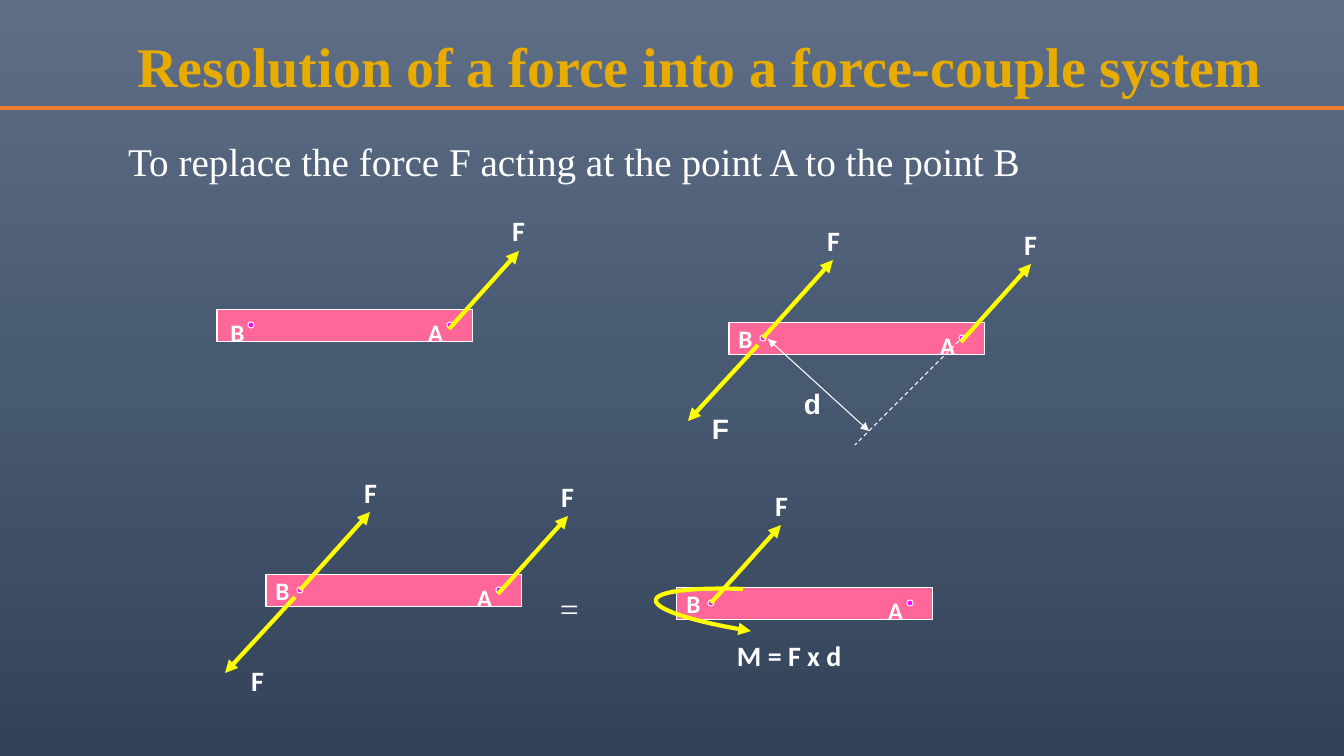
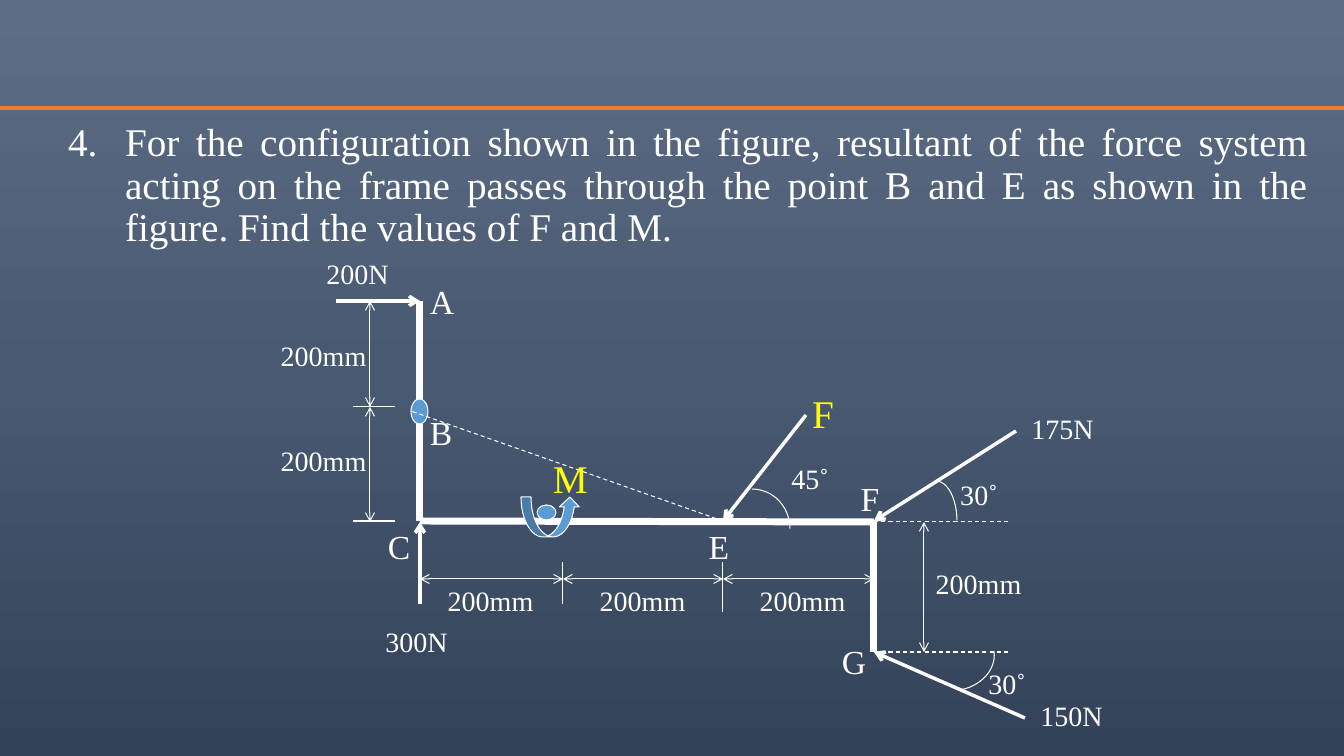
from copy import deepcopy
from itertools import pairwise

from lxml.etree import SubElement
from pptx import Presentation
from pptx.dml.color import RGBColor
from pptx.enum.dml import MSO_LINE
from pptx.enum.shapes import MSO_CONNECTOR, MSO_SHAPE
from pptx.enum.text import MSO_ANCHOR, MSO_AUTO_SIZE, PP_ALIGN
from pptx.oxml.ns import qn
from pptx.util import Emu, Pt

# Shared look
EMU_PER_PIXEL = 914400 / 100.8
SLIDE_WIDTH, SLIDE_HEIGHT = 1344, 756
WHITE = RGBColor(0xFF, 0xFF, 0xFF)
YELLOW = RGBColor(0xFF, 0xFF, 0x00)
GOLD = RGBColor(0xE8, 0xAB, 0x00)
ORANGE = RGBColor(0xED, 0x7D, 0x31)
PINK = RGBColor(0xFF, 0x66, 0x99)
MAGENTA = RGBColor(0xFF, 0x00, 0xFF)
BLUE = RGBColor(0x5B, 0x9B, 0xD5)
BACKGROUND_STOPS = (
    (0, RGBColor(0x5D, 0x6D, 0x85)),
    (0.5, RGBColor(0x48, 0x59, 0x72)),
    (1, RGBColor(0x33, 0x42, 0x58)),
)
SERIF, SANS, ARIAL = "Times New Roman", "Calibri", "Arial"
THIN = 0.75


def pixels(value):
    return Emu(round(value * EMU_PER_PIXEL))


# Text
def place(shape, left, top, width, height):
    shape.left, shape.top = pixels(left), pixels(top)
    shape.width, shape.height = pixels(width), pixels(height)


def clear_insets(frame):
    frame.margin_left = frame.margin_right = 0
    frame.margin_top = frame.margin_bottom = 0


def space_before_half_line(paragraph):
    properties = paragraph._p.get_or_add_pPr()
    spacing = SubElement(properties, qn("a:spcBef"))
    SubElement(spacing, qn("a:spcPct")).set("val", "50000")


def write(frame, text, size, color=WHITE, font=SERIF, bold=False, align=PP_ALIGN.LEFT):
    paragraph = frame.paragraphs[0]
    paragraph.alignment = align
    run = paragraph.add_run()
    run.text = text
    run.font.size = Pt(size)
    run.font.name = font
    run.font.bold = bold
    run.font.color.rgb = color
    return paragraph


def set_bullet(paragraph, hanging, tag, **attributes):
    properties = paragraph._p.get_or_add_pPr()
    properties.set("marL", str(pixels(hanging)))
    properties.set("indent", str(-pixels(hanging)))
    bullet = SubElement(properties, qn(tag))
    for name, value in attributes.items():
        bullet.set(name, value)


def add_label(slide, text, left, top, width, size, color=WHITE):
    """Centred serif label with the usual insets."""
    box = slide.shapes.add_textbox(
        pixels(left), pixels(top), pixels(width), pixels(1.6 * size + 11))
    box.text_frame.word_wrap = True
    box.text_frame.auto_size = MSO_AUTO_SIZE.SHAPE_TO_FIT_TEXT
    paragraph = write(box.text_frame, text, size, color, align=PP_ALIGN.CENTER)
    space_before_half_line(paragraph)


def add_mark(slide, text, left, top, size=20, font=SANS, bold=True, width=None):
    """Tight mark without insets; it wraps, left-aligned, only when given a width."""
    box = slide.shapes.add_textbox(
        pixels(left), pixels(top), pixels(width or 17), pixels(1.7 * size))
    clear_insets(box.text_frame)
    box.text_frame.word_wrap = width is not None
    box.text_frame.auto_size = MSO_AUTO_SIZE.SHAPE_TO_FIT_TEXT
    align = PP_ALIGN.LEFT if width else PP_ALIGN.CENTER
    space_before_half_line(write(box.text_frame, text, size, WHITE, font, bold, align))


# Lines and shapes
def set_line_ends(line, head=None, tail=None):
    properties = line._get_or_add_ln()
    for tag, kind in (("a:headEnd", head), ("a:tailEnd", tail)):
        if kind:
            SubElement(properties, qn(tag)).set("type", kind)


def add_line(slide, start, end, width=THIN, color=WHITE, dashed=False, head=None, tail=None):
    connector = slide.shapes.add_connector(
        MSO_CONNECTOR.STRAIGHT, *(pixels(value) for value in (*start, *end)))
    connector.line.color.rgb = color
    connector.line.width = Pt(width)
    if dashed:
        connector.line.dash_style = MSO_LINE.DASH
    set_line_ends(connector.line, head, tail)
    SubElement(connector.element.spPr, qn("a:effectLst"))
    return connector


def add_figure(slide, kind, left, top, width, height, fill=None, rotation=0):
    shape = slide.shapes.add_shape(
        kind, pixels(left), pixels(top), pixels(width), pixels(height))
    shape.shadow.inherit = False
    shape.rotation = rotation
    if fill is None:
        shape.fill.background()
    else:
        shape.fill.solid()
        shape.fill.fore_color.rgb = fill
    shape.line.color.rgb = WHITE
    shape.line.width = Pt(THIN)


def bezier(points, steps=12):
    """Points along a cubic curve, from its start to its end."""
    for step in range(steps + 1):
        t = step / steps
        weights = ((1 - t) ** 3, 3 * t * (1 - t) ** 2, 3 * t * t * (1 - t), t ** 3)
        yield tuple(pixels(sum(weight * point[axis] for weight, point in zip(weights, points)))
                    for axis in (0, 1))


def add_moment_arrow(slide, *curves):
    outline = [point for curve in curves for point in bezier(curve)]
    builder = slide.shapes.build_freeform(*outline[0], scale=1.0)
    builder.add_line_segments(outline[1:], close=False)
    shape = builder.convert_to_shape()
    shape.shadow.inherit = False
    shape.fill.background()
    shape.line.color.rgb = YELLOW
    shape.line.width = Pt(3)
    set_line_ends(shape.line, tail="triangle")


def add_beam(slide, left, top, forces, b_label=(8, 0), counter_font=SANS):
    """Beam with points A and B; forces names those drawn: A, B, counter."""
    def at(x, y):
        return left + x, top + y

    add_figure(slide, MSO_SHAPE.RECTANGLE, left, top, 256, 32, PINK)
    arrows = {
        "A": ((232, 19), (302, -59), (293, -96), SANS),
        "B": ((34, 15), (104, -63), (96, -100), SANS),
        "counter": ((29, 22), (-41, 98), (-17, 88), counter_font),
    }
    add_mark(slide, "A", *at(210, 7), size=18)
    add_mark(slide, "B", *at(*b_label), size=18)
    for x in (230, 31):
        add_figure(slide, MSO_SHAPE.OVAL, *at(x, 12), 6, 6, MAGENTA)
    for name in forces:
        start, end, mark, font = arrows[name]
        add_line(slide, at(*start), at(*end), 3, YELLOW, tail="triangle")
        add_mark(slide, "F", *at(*mark), font=font)


# Master and slides
def set_up_master(presentation, slide):
    master = presentation.slide_master
    fill = master.background.fill
    fill.gradient()
    fill.gradient_angle = 270
    stop_list = master.element.find(".//" + qn("a:gsLst"))
    stop_list.insert(1, deepcopy(stop_list[0]))
    for stop, (position, color) in zip(fill.gradient_stops, BACKGROUND_STOPS):
        stop.position = position
        stop.color.rgb = color
    rule = add_line(slide, (0, 108), (SLIDE_WIDTH, 108), 2.25, ORANGE)
    master.shapes.element.append(rule.element)


def fill_body(slide, left, top, width, height, text, align=PP_ALIGN.LEFT):
    body = slide.placeholders[1]
    place(body, left, top, width, height)
    body.text_frame.auto_size = MSO_AUTO_SIZE.NONE
    return write(body.text_frame, text, 28, align=align)


def build_resolution_slide(slide):
    title = slide.shapes.title
    place(title, 131, 32, 1137, 67)
    clear_insets(title.text_frame)
    title.text_frame.word_wrap = False
    title.text_frame.vertical_anchor = MSO_ANCHOR.TOP
    heading = write(title.text_frame, "Resolution of a force into a force-couple system",
                    40, GOLD, bold=True, align=PP_ALIGN.CENTER)
    space_before_half_line(heading)
    statement = fill_body(slide, 118, 132, 1184, 57,
                          "To replace the force F acting at the point A to the point B")
    space_before_half_line(statement)
    set_bullet(statement, 0, "a:buNone")

    # Four stages of the replacement
    add_beam(slide, 217, 310, ("A",), b_label=(12, 7))
    add_beam(slide, 729, 323, ("A", "B", "counter"), counter_font=ARIAL)
    add_beam(slide, 266, 575, ("A", "B", "counter"))
    add_beam(slide, 677, 588, ("B",))

    # Distance between the lines of action
    add_line(slide, (964, 336), (855, 445), dashed=True)
    add_line(slide, (768, 339), (869, 431), head="triangle", tail="triangle")
    add_mark(slide, "d", 804, 386, font=ARIAL)

    # Resulting moment
    add_mark(slide, "=", 560, 588, 24, SERIF, bold=False, width=50)
    add_moment_arrow(slide,
                     ((743, 589), (690, 587), (656, 592), (656, 600)),
                     ((656, 600), (654, 609), (693, 622), (751, 631)))
    add_mark(slide, "M = F x d", 737, 638, width=219)


def build_frame_slide(slide):
    title = slide.shapes.title.element
    title.getparent().remove(title)
    question = fill_body(
        slide, 58, 118, 1260, 202,
        "For the configuration shown in the figure, resultant of the force system acting "
        "on the frame passes through the point B and E as shown in the figure. "
        "Find the values of F and M.", PP_ALIGN.JUSTIFY)
    question.line_spacing = 0.9
    question.space_before = Pt(10)
    set_bullet(question, 57, "a:buAutoNum", type="arabicPeriod", startAt="4")

    # Frame and forces
    for start, end in pairwise(((420, 301), (420, 521), (874, 522), (874, 652))):
        add_line(slide, start, end, 5)
    for start, end in (((1025, 718), (874, 652)), ((1016, 431), (874, 521)),
                       ((806, 415), (723, 521)), ((336, 301), (420, 301)),
                       ((420, 604), (420, 522))):
        add_line(slide, start, end, 2.5, tail="arrow")
    add_figure(slide, MSO_SHAPE.OVAL, 411, 399, 17, 25, BLUE)

    # Reference lines, ticks and angles
    for start, end in (((874, 522), (1008, 522)), ((874, 652), (1008, 652)),
                       ((723, 521), (411, 411))):
        add_line(slide, start, end, dashed=True)
    for start, end in (((395, 407), (353, 407)), ((395, 521), (353, 521)),
                       ((563, 562), (563, 604)), ((723, 562), (723, 612))):
        add_line(slide, start, end)
    for left, top, width, height, rotation in (
            (915, 481, 42, 79, 0), (921, 617, 66, 81, 81), (714, 489, 76, 79, 0)):
        add_figure(slide, MSO_SHAPE.ARC, left, top, width, height, rotation=rotation)

    # Dimensions
    for chain in (((370, 301), (370, 407), (370, 522)),
                  ((420, 579), (563, 579), (723, 579), (874, 579)),
                  ((924, 522), (924, 652))):
        for start, end in pairwise(chain):
            add_line(slide, start, end, head="arrow", tail="arrow")
    for left, top in ((269, 334), (269, 439), (436, 579), (588, 579), (748, 579), (924, 562)):
        add_label(slide, "200mm", left, top, 109, 20)

    # Force, angle and point labels
    for text, left, top in (("200N", 311, 252), ("150N", 1025, 694),
                            ("175N", 1016, 407), ("300N", 370, 620)):
        add_label(slide, text, left, top, 93, 20)
    for text, left, top in (("45˚", 781, 457), ("30˚", 950, 473), ("30˚", 978, 662)):
        add_label(slide, text, left, top, 58, 20)
    for text, left, top in (("A", 420, 276), ("B", 420, 407), ("C", 378, 521),
                            ("E", 698, 521), ("F", 849, 473), ("G", 832, 636)):
        add_label(slide, text, left, top, 42, 24)
    for text, left, top in (("F", 798, 384), ("M", 543, 449)):
        add_label(slide, text, left, top, 50, 28, YELLOW)

    # Moment symbol
    add_figure(slide, MSO_SHAPE.OVAL, 537, 505, 19, 15, BLUE)
    add_figure(slide, MSO_SHAPE.CURVED_UP_ARROW, 521, 497, 59, 40, BLUE)


def main():
    presentation = Presentation()
    presentation.slide_width = pixels(SLIDE_WIDTH)
    presentation.slide_height = pixels(SLIDE_HEIGHT)
    layout = presentation.slide_layouts[1]
    resolution_slide = presentation.slides.add_slide(layout)
    frame_slide = presentation.slides.add_slide(layout)
    set_up_master(presentation, resolution_slide)
    build_resolution_slide(resolution_slide)
    build_frame_slide(frame_slide)
    presentation.save("out.pptx")


main()
